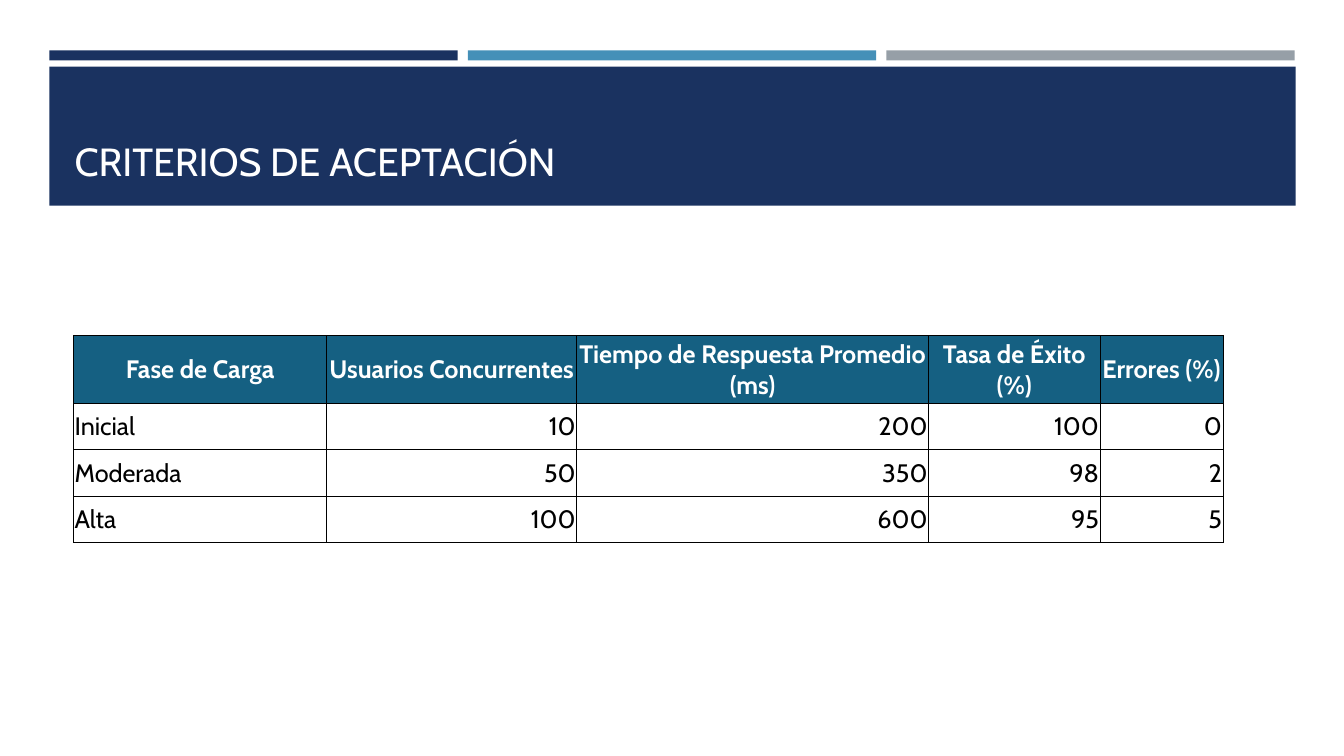
"""Build the acceptance criteria slide."""
from lxml import etree
from pptx import Presentation
from pptx.dml.color import RGBColor
from pptx.enum import shapes, text
from pptx.oxml import ns
from pptx.util import Inches, Pt

FONT = "Cabin"
NAVY = RGBColor(0x1A, 0x32, 0x60)
BLUE = RGBColor(0x45, 0x90, 0xB8)
GREY = RGBColor(0x96, 0x9F, 0xA7)
TEAL = RGBColor(0x15, 0x60, 0x82)
WHITE = RGBColor(0xFF, 0xFF, 0xFF)
BLACK = RGBColor(0, 0, 0)

COLUMN_WIDTHS = [2.51, 2.48, 3.49, 1.7, 1.22]
ROW_HEIGHTS = [0.67, 0.46, 0.46, 0.46]
CRITERIA = [
    ["Fase de Carga", "Usuarios Concurrentes", "Tiempo de Respuesta Promedio (ms)",
     "Tasa de Éxito (%)", "Errores (%)"],
    ["Inicial", "10", "200", "100", "0"],
    ["Moderada", "50", "350", "98", "2"],
    ["Alta", "100", "600", "95", "5"],
]


def add_band(page, left, top, width, height, color):
    """Add a plain filled rectangle."""
    band = page.shapes.add_shape(shapes.MSO_SHAPE.RECTANGLE, Inches(left),
                                 Inches(top), Inches(width), Inches(height))
    band.shadow.inherit = False
    band.fill.solid()
    band.fill.fore_color.rgb = color
    band.line.fill.background()


def format_text(frame, size, color, align, bold=False):
    """Format every paragraph and run of a text frame."""
    for para in frame.paragraphs:
        para.alignment = align
        for span in para.runs:
            span.font.name = FONT
            span.font.size = Pt(size)
            span.font.bold = bold
            span.font.color.rgb = color


def place_title(page, wording):
    """Fill the title placeholder and bring it in front of the bands."""
    title = page.shapes.title
    title.left, title.top = Inches(0.64), Inches(0.8)
    title.width, title.height = Inches(12.06), Inches(1.08)
    frame = title.text_frame
    frame.text = wording
    frame.word_wrap = True
    frame.auto_size = text.MSO_AUTO_SIZE.NONE
    frame.vertical_anchor = text.MSO_ANCHOR.BOTTOM
    format_text(frame, 28, WHITE, text.PP_ALIGN.LEFT)
    page.shapes.element.append(title.element)


def add_borders(cell, color, width):
    """Draw a solid line on the four sides of a cell."""
    properties = cell._tc.get_or_add_tcPr()
    for side in ("a:lnL", "a:lnR", "a:lnT", "a:lnB"):
        line = etree.SubElement(properties, ns.qn(side), w=str(Pt(width)))
        fill = etree.SubElement(line, ns.qn("a:solidFill"))
        etree.SubElement(fill, ns.qn("a:srgbClr"), val=str(color))


def format_cell(cell, is_header, is_label):
    """Apply the borders, fill, margins and text style of one cell."""
    add_borders(cell, BLACK, 0.5)
    cell.margin_left = cell.margin_right = cell.margin_top = Inches(0.01)
    cell.margin_bottom = Inches(0)
    cell.vertical_anchor = text.MSO_ANCHOR.MIDDLE
    if is_header:
        cell.fill.solid()
        cell.fill.fore_color.rgb = TEAL
        format_text(cell.text_frame, 18, WHITE, text.PP_ALIGN.CENTER, bold=True)
    else:
        cell.fill.background()
        align = text.PP_ALIGN.LEFT if is_label else text.PP_ALIGN.RIGHT
        format_text(cell.text_frame, 18, BLACK, align)


def add_criteria_table(page, left, top):
    """Add the table of acceptance criteria."""
    table = page.shapes.add_table(
        len(CRITERIA), len(COLUMN_WIDTHS), Inches(left), Inches(top),
        Inches(sum(COLUMN_WIDTHS)), Inches(sum(ROW_HEIGHTS))).table
    table.horz_banding = False
    for column, width in zip(table.columns, COLUMN_WIDTHS):
        column.width = Inches(width)
    for row, height in zip(table.rows, ROW_HEIGHTS):
        row.height = Inches(height)
    for i, values in enumerate(CRITERIA):
        for j, value in enumerate(values):
            cell = table.cell(i, j)
            cell.text = value
            format_cell(cell, is_header=i == 0, is_label=j == 0)


def main():
    """Build and save the deck."""
    deck = Presentation()
    deck.slide_width, deck.slide_height = Inches(13.33), Inches(7.5)
    page = deck.slides.add_slide(deck.slide_layouts[5])
    for i, color in enumerate([NAVY, BLUE, GREY]):
        add_band(page, 0.49 + 4.15 * i, 0.5, 4.05, 0.1, color)
    add_band(page, 0.49, 0.66, 12.36, 1.38, NAVY)
    place_title(page, "CRITERIOS DE ACEPTACIÓN")
    add_criteria_table(page, 0.73, 3.33)
    deck.save("out.pptx")


if __name__ == "__main__":
    main()
